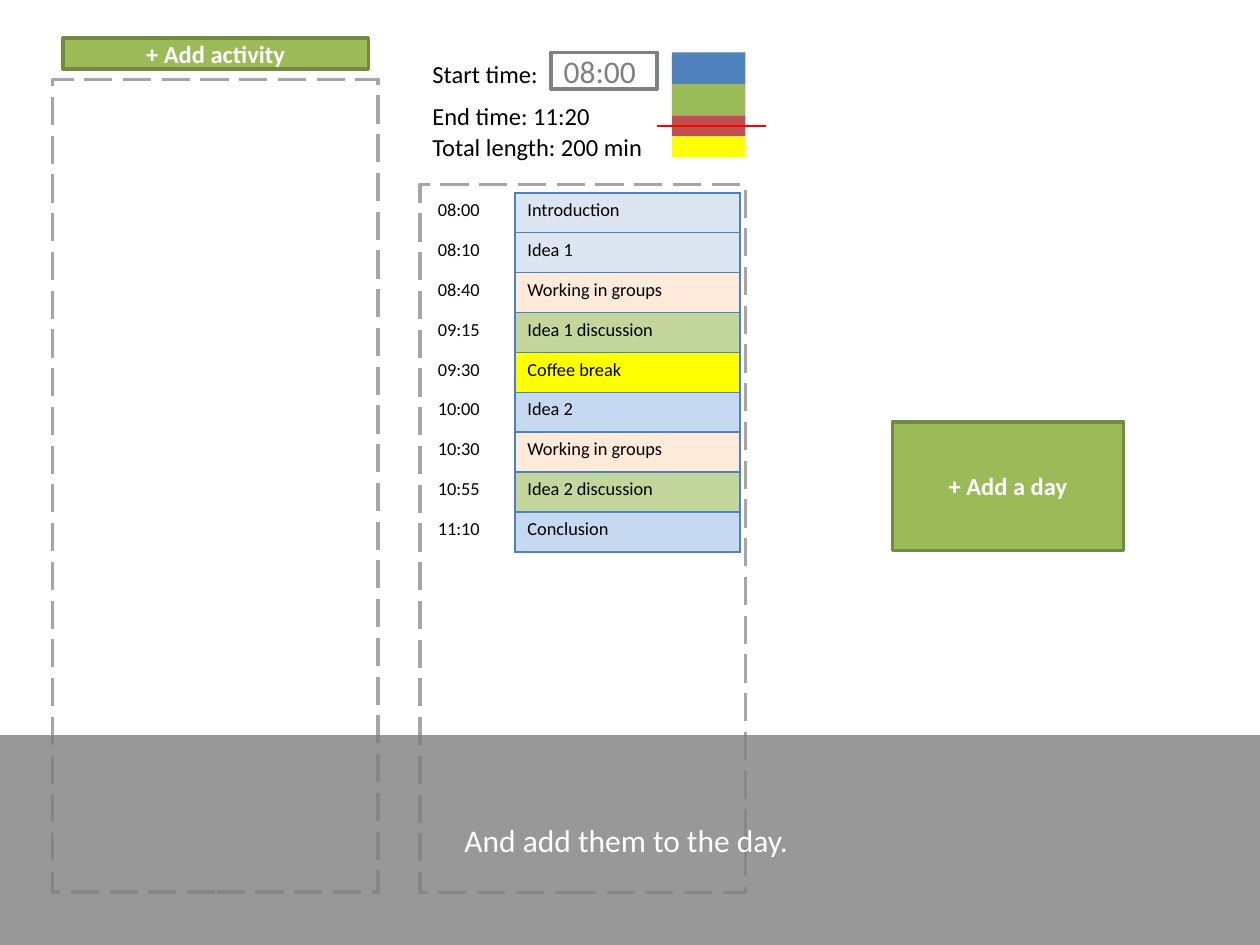
from lxml.etree import SubElement
from pptx import Presentation
from pptx.dml.color import RGBColor
from pptx.enum.dml import MSO_LINE
from pptx.enum.shapes import MSO_CONNECTOR, MSO_SHAPE
from pptx.enum.text import MSO_ANCHOR, MSO_AUTO_SIZE, PP_ALIGN
from pptx.oxml.ns import qn
from pptx.util import Pt

COLORS = {
    "white": "FFFFFF", "black": "000000", "gray": "808080", "dash": "A6A6A6",
    "band": "7F7F7F", "green": "9BBB59", "dark_green": "738A42",
    "blue": "4F81BD", "brick": "C0504D", "yellow": "FFFF00", "red": "FF0000",
    "pale_blue": "DCE6F2", "light_blue": "C6D9F1", "peach": "FDEADA",
    "light_green": "C3D69B",
}
BUTTONS = [
    ("+ Add activity", (36, 21.6, 174.5, 18)),
    ("+ Add a day", (510, 241, 132, 73.5)),
]
DASHED_AREAS = [(30, 45.3, 186, 464.5), (240, 105.5, 186, 404.5)]
LABELS = [
    ("Start time:", (240, 30.2, 75.5, 24.3), False),
    ("Total length: 200 min", (240, 72, 162.7, 24.3), True),
    ("End time: 11:20", (240, 54, 105, 24.3), False),
]
AGENDA = [
    ("08:00", "Introduction", "pale_blue"),
    ("08:10", "Idea 1", "pale_blue"),
    ("08:40", "Working in groups", "peach"),
    ("09:15", "Idea 1 discussion", "light_green"),
    ("09:30", "Coffee break", "yellow"),
    ("10:00", "Idea 2", "light_blue"),
    ("10:30", "Working in groups", "peach"),
    ("10:55", "Idea 2 discussion", "light_green"),
    ("11:10", "Conclusion", "light_blue"),
]
COLUMNS = (51.2, 128.8)
ROW_HEIGHT = 22.8
SHARES = [("blue", 18), ("green", 18), ("brick", 12), ("yellow", 12)]


def rgb(name):
    return RGBColor.from_string(COLORS[name])


def write(tf, text, size, color, align=PP_ALIGN.LEFT, bold=False):
    tf.text = text
    p = tf.paragraphs[0]
    p.alignment = align
    font = p.runs[0].font
    font.name, font.size, font.bold = "Calibri", Pt(size), bold
    font.color.rgb = rgb(color)


def add_rect(box, fill=None, line=None):
    s = shapes.add_shape(MSO_SHAPE.RECTANGLE, *map(Pt, box))
    s.shadow.inherit = False
    if fill:
        s.fill.solid()
        s.fill.fore_color.rgb = rgb(fill)
    else:
        s.fill.background()
    if line:
        s.line.color.rgb = rgb(line)
        s.line.width = Pt(2)
    else:
        s.line.fill.background()
    s.text_frame.vertical_anchor = MSO_ANCHOR.MIDDLE
    return s


def add_borders(cell, sides):
    tcPr = cell._tc.get_or_add_tcPr()
    for side in "LRTB":
        ln = SubElement(tcPr, qn(f"a:ln{side}"), w=str(Pt(1)))
        if side in sides:
            fill = SubElement(ln, qn("a:solidFill"))
            SubElement(fill, qn("a:srgbClr"), val=COLORS["blue"])
        else:
            SubElement(ln, qn("a:noFill"))


prs = Presentation()
prs.slide_width, prs.slide_height = Pt(720), Pt(540)
shapes = prs.slides.add_slide(prs.slide_layouts[6]).shapes

for box in DASHED_AREAS:
    s = add_rect(box, line="dash")
    s.line.dash_style = MSO_LINE.LONG_DASH

for text, box in BUTTONS:
    s = add_rect(box, "green", "dark_green")
    write(s.text_frame, text, 14, "white", PP_ALIGN.CENTER, True)

s = add_rect((315, 30, 60.5, 21), "white", "gray")
write(s.text_frame, "08:00", 18, "gray")

for text, box, wrap in LABELS:
    tf = shapes.add_textbox(*map(Pt, box)).text_frame
    tf.word_wrap = wrap
    tf.auto_size = MSO_AUTO_SIZE.SHAPE_TO_FIT_TEXT
    write(tf, text, 14, "black")

table = shapes.add_table(len(AGENDA), len(COLUMNS), Pt(243), Pt(110.2),
                         Pt(sum(COLUMNS)), Pt(ROW_HEIGHT * len(AGENDA))).table
table.first_row = table.horz_banding = False
for column, width in zip(table.columns, COLUMNS):
    column.width = Pt(width)
for row, (time, activity, color) in zip(table.rows, AGENDA):
    row.height = Pt(ROW_HEIGHT)
    for cell, text, sides in zip(row.cells, (time, activity), ("R", "LRTB")):
        write(cell.text_frame, text, 10.5, "black")
        add_borders(cell, sides)
    row.cells[0].fill.background()
    row.cells[1].fill.solid()
    row.cells[1].fill.fore_color.rgb = rgb(color)

top = 30
for color, height in SHARES:
    add_rect((384, top, 42, height), color)
    top += height

marker = shapes.add_connector(MSO_CONNECTOR.STRAIGHT, Pt(375.5), Pt(72), Pt(437.7), Pt(72))
marker.line.color.rgb = rgb("red")
marker.line.width = Pt(0.75)
SubElement(marker._element.spPr, qn("a:effectLst"))

band = add_rect((0, 420, 720, 120), "band")
color = band._element.spPr.find(qn("a:solidFill")).find(qn("a:srgbClr"))
SubElement(color, qn("a:alpha"), val="80000")
write(band.text_frame, "And add them to the day. ", 18, "white", PP_ALIGN.CENTER)

prs.save("out.pptx")
